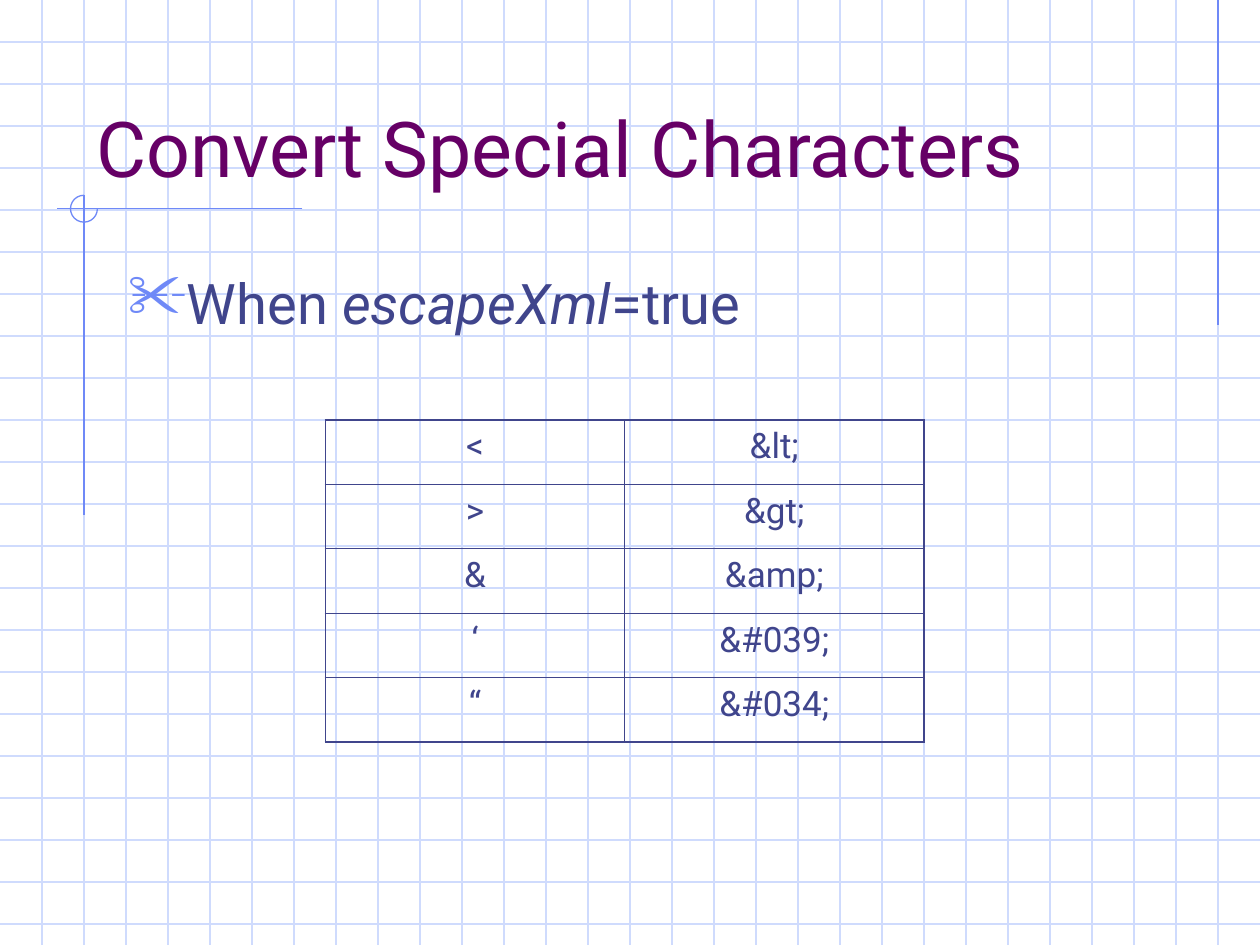
from lxml import etree
from pptx import Presentation
from pptx.dml.color import RGBColor
from pptx.enum.shapes import MSO_CONNECTOR, MSO_SHAPE
from pptx.enum.text import MSO_ANCHOR, PP_ALIGN
from pptx.oxml.ns import qn
from pptx.util import Inches, Pt

STRAIGHT, ARC = MSO_CONNECTOR.STRAIGHT, MSO_SHAPE.ARC
TOP, BOTTOM = MSO_ANCHOR.TOP, MSO_ANCHOR.BOTTOM
CENTER = PP_ALIGN.CENTER

COLS, ROWS = 30, 22.5  # squares of graph paper on the slide
GRID, ACCENT, INK, TITLE = "CFDBFD", "6F89F7", "40458C", "660066"
ENTITIES = [("<", "&lt;"), (">", "&gt;"), ("&", "&amp;"),
            ("‘", "&#039;"), ("“", "&#034;")]


def rgb(value):
    return RGBColor.from_string(value)


def units(squares):
    """Length of a number of grid squares, three to the inch."""
    return Inches(squares / 3)


class GraphPaper:
    """Style and current slide; all lengths are in grid squares."""
    font = "Roboto"
    hairline = 0.75
    thin, thick = 0.45, 1.08

    def __init__(self, slide):
        self.shapes = slide.shapes

    def line(self, x1, y1, x2, y2, color):
        s = self.shapes.add_connector(STRAIGHT, *map(units, (x1, y1, x2, y2)))
        s.line.color.rgb = rgb(color)
        s.line.width = Pt(self.hairline)
        etree.SubElement(s._element.spPr, qn("a:effectLst"))

    def grid(self):
        for row in range(1, int(ROWS) + 1):
            self.line(0, row, COLS, row, GRID)
        for col in range(1, COLS):
            self.line(col, 0, col, ROWS, GRID)

    def open_circle(self, x, y, radius):
        """Circle about (x, y) without its upper right quarter."""
        s = self.shapes.add_shape(ARC, units(x - radius), units(y - radius),
                                  units(2 * radius), units(2 * radius))
        s.adjustments[0], s.adjustments[1] = 0, 162  # 0 and 270 degrees
        s.shadow.inherit = False
        s.fill.background()
        s.line.color.rgb = rgb(ACCENT)
        s.line.width = Pt(self.hairline)

    def add_runs(self, p, parts, size, color):
        """Add (text, italic) parts to a paragraph."""
        for text, italic in parts:
            r = p.add_run()
            r.text = text
            r.font.name, r.font.size = self.font, Pt(size)
            r.font.italic = italic
            r.font.color.rgb = rgb(color)

    def text(self, x, y, w, h, parts, size, color, anchor=TOP):
        tf = self.shapes.add_textbox(*map(units, (x, y, w, h))).text_frame
        tf.word_wrap = True
        tf.vertical_anchor = anchor
        self.add_runs(tf.paragraphs[0], parts, size, color)
        return tf.paragraphs[0]

    def bullet(self, p, char, color, percent, indent):
        pPr = p._p.get_or_add_pPr()
        pPr.set("marL", str(Inches(indent)))
        pPr.set("indent", str(-Inches(indent)))
        clr = etree.SubElement(pPr, qn("a:buClr"))
        etree.SubElement(clr, qn("a:srgbClr"), val=color)
        etree.SubElement(pPr, qn("a:buSzPct"), val=str(percent * 1000))
        etree.SubElement(pPr, qn("a:buChar"), char=char)

    def borders(self, cell, widths):
        """Draw the cell's left, right, top and bottom borders."""
        tcPr = cell._tc.get_or_add_tcPr()
        for i, (side, width) in enumerate(zip("LRTB", widths)):
            ln = etree.Element(qn(f"a:ln{side}"), w=str(Pt(width)))
            fill = etree.SubElement(ln, qn("a:solidFill"))
            etree.SubElement(fill, qn("a:srgbClr"), val=INK)
            tcPr.insert(i, ln)

    def table(self, x, y, w, h, rows):
        n_rows, n_cols = len(rows), len(rows[0])
        table = self.shapes.add_table(n_rows, n_cols,
                                      *map(units, (x, y, w, h))).table
        table.first_row = table.horz_banding = False
        for i, row in enumerate(rows):
            for j, text in enumerate(row):
                cell = table.cell(i, j)
                cell.fill.background()
                p = cell.text_frame.paragraphs[0]
                p.alignment, p.space_before = CENTER, Pt(5)
                self.add_runs(p, [(text, False)], 20, INK)
                outer = (j == 0, j == n_cols - 1, i == 0, i == n_rows - 1)
                self.borders(cell, [self.thick if edge else self.thin
                                    for edge in outer])


def main():
    prs = Presentation()
    prs.slide_width, prs.slide_height = units(COLS), units(ROWS)
    paper = GraphPaper(prs.slides.add_slide(prs.slide_layouts[6]))

    paper.grid()
    paper.line(29, 0, 29, 7.75, ACCENT)
    paper.line(7.2, 4.97, 1.35, 4.97, ACCENT)
    paper.line(2, 4.65, 2, 12.27, ACCENT)
    paper.open_circle(2, 4.97, 0.32)

    paper.text(2, 1, 25.5, 3.75, [("Convert Special Characters", False)],
               44, TITLE, BOTTOM)
    p = paper.text(2.75, 6.25, 25.5, 2.5,
                   [("When ", False), ("escapeXml", True), ("=true", False)],
                   32, INK)
    p.space_before = Pt(8)
    paper.bullet(p, "✂", ACCENT, 110, 0.38)
    paper.table(7.75, 10, 14.25, 7.67, ENTITIES)

    prs.save("out.pptx")


if __name__ == "__main__":
    main()
